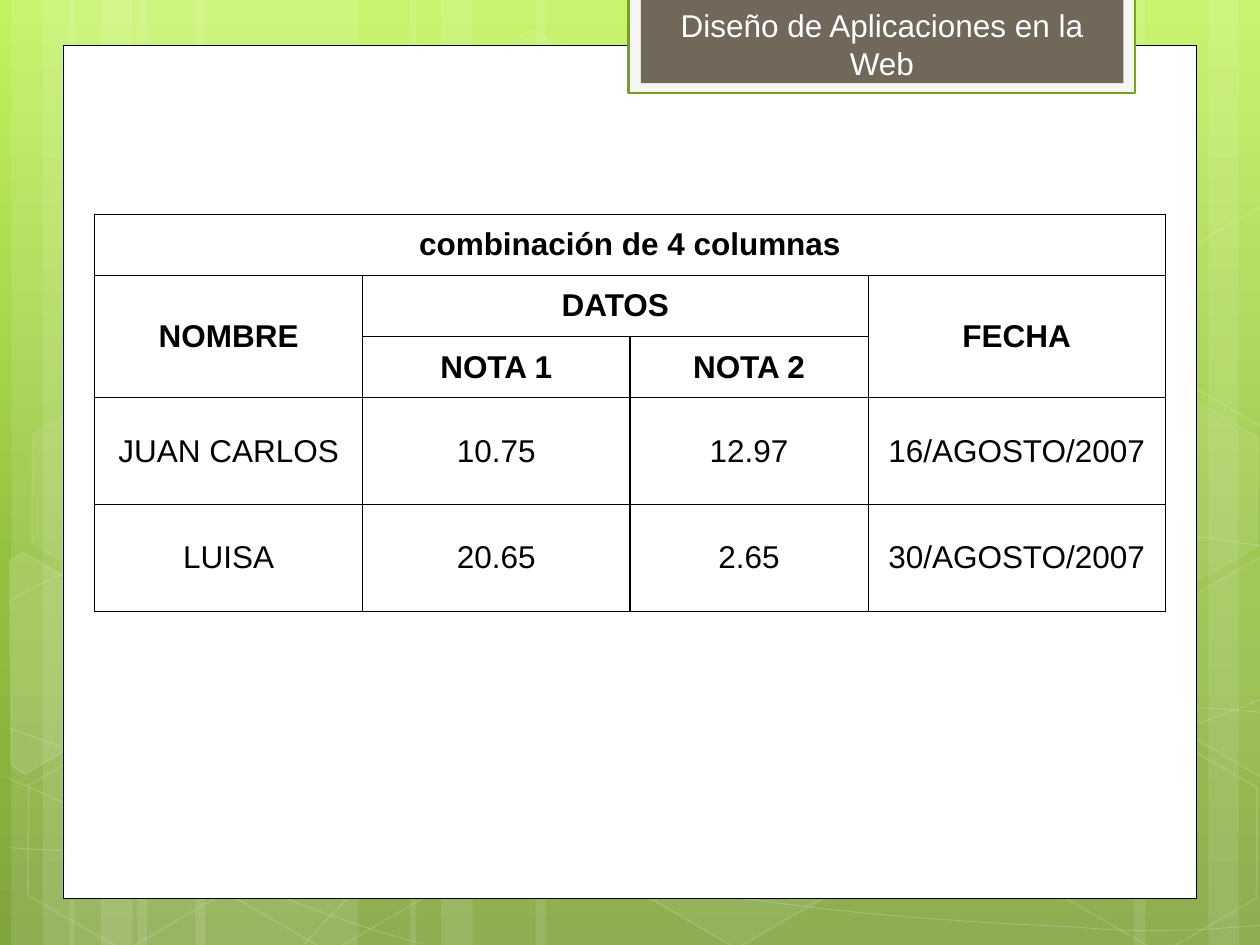
"""Build a slide with a grades table on a white panel over a green patterned background."""
from copy import deepcopy
from math import cos, radians, sin

from lxml.etree import SubElement
from pptx import Presentation
from pptx.dml.color import RGBColor
from pptx.enum.shapes import MSO_SHAPE as Shape
from pptx.enum.text import MSO_ANCHOR as Anchor, PP_ALIGN as Align
from pptx.oxml.ns import qn
from pptx.util import Cm, Pt

WHITE = RGBColor(0xFF, 0xFF, 0xFF)
BLACK = RGBColor(0, 0, 0)
LIME = RGBColor(0xC3, 0xF3, 0x5F)
GREEN = RGBColor(0x93, 0xBF, 0x3F)
OLIVE = RGBColor(0x81, 0xA5, 0x3E)
TAB_EDGE = RGBColor(0x74, 0xA5, 0x10)
TAB_RIM = RGBColor(0xF5, 0xF5, 0xF5)
TAB_BROWN = RGBColor(0x71, 0x68, 0x5A)


def paint(shape, fill=None, fill_alpha=100, line=None, width=1, line_alpha=100):
    shape.shadow.inherit = False
    shape.line.width = Pt(width)
    properties = shape._element.spPr
    outline = properties.find(qn("a:ln"))
    for part, host, color, alpha in (
        (shape.fill, properties, fill, fill_alpha),
        (shape.line.fill, outline, line, line_alpha),
    ):
        if color is None:
            part.background()
            continue
        part.solid()
        part.fore_color.rgb = color
        if alpha < 100:
            tint = host.find(qn("a:solidFill")).find(qn("a:srgbClr"))
            SubElement(tint, qn("a:alpha"), val=str(alpha * 1000))


def write(frame, text, color, bold=False):
    frame.text = text
    frame.word_wrap = True
    para = frame.paragraphs[0]
    para.alignment = Align.CENTER
    for span in para.runs:
        span.font.name = "Arial"
        span.font.size = Pt(18)
        span.font.bold = bold
        span.font.color.rgb = color


deck = Presentation()
deck.slide_width, deck.slide_height = Cm(25.4), Cm(19.05)
page = deck.slides.add_slide(deck.slide_layouts[6])
shapes = page.shapes

backdrop = page.background.fill
backdrop.gradient()
backdrop.gradient_angle = 270
stop_list = page._element.find(".//" + qn("a:gsLst"))
stop_list.append(deepcopy(stop_list[-1]))
for stop, position, color in zip(backdrop.gradient_stops, (0, 0.62, 1), (LIME, GREEN, OLIVE)):
    stop.position = position
    stop.color.rgb = color

bands = [
    (2.77, 4.45), (0.23, 1.27), (0.86, 2.11), (3.94, 4.45), (1.4, 1.27), (2.03, 2.11),
    (18.64, 4.45), (24.36, 1.27), (22.86, 2.11), (10.8, 7.84), (8.26, 1.27), (8.89, 2.11),
]
for left, width in bands:
    band = shapes.add_shape(Shape.RECTANGLE, Cm(left), 0, Cm(width), deck.slide_height)
    paint(band, WHITE, 10)

curves = [
    [(0.18, 17.09), (1.55, 17.17), (2.92, 17.25), (4.83, 17.22), (6.73, 17.2), (9.09, 17.15),
     (11.63, 16.89), (14.17, 16.64), (17.78, 16.15), (20.12, 15.67), (22.43, 15.19),
     (24.82, 14.43), (25.58, 14)],
    [(0.18, 12.12), (0.91, 11.71), (1.65, 11.33), (3.07, 10.95), (4.52, 10.57), (6.58, 10.01),
     (8.81, 9.83), (11.07, 9.65), (13.82, 9.63), (16.61, 9.83), (19.41, 10.03),
     (24.05, 10.82), (25.58, 11.02)],
    [(0.15, 15.67), (3.23, 17.07), (6.27, 18.47), (8.51, 19.02)],
    [(0.18, 14.68), (0.97, 14.96), (1.78, 15.24), (3.25, 15.65), (4.72, 16.03), (6.93, 16.66),
     (9.07, 17.09), (11.18, 17.53), (13.84, 17.98), (15.95, 18.24), (18.06, 18.52),
     (20.32, 18.62), (21.67, 18.69), (23.01, 18.8), (23.34, 18.75), (24, 18.75),
     (24.66, 18.72), (25.12, 18.67), (25.58, 18.64)],
    [(6.15, 19.02), (6.6, 18.52), (7.06, 18.01), (7.67, 17.55), (8.28, 17.07), (9.14, 16.59),
     (9.86, 16.23), (10.57, 15.88), (11, 15.72), (11.91, 15.47), (12.85, 15.21),
     (14.55, 14.86), (15.44, 14.68), (16.36, 14.5), (16.48, 14.5), (17.27, 14.45),
     (18.06, 14.38), (19.3, 14.3), (20.17, 14.27), (21.06, 14.25), (22.5, 14.27),
     (22.5, 14.27), (23.07, 14.27), (23.64, 14.27), (24.21, 14.27), (24.66, 14.3),
     (25.1, 14.33), (25.32, 14.35), (25.55, 14.38), (25.48, 14.35), (25.55, 14.38)],
]
for knots in curves:
    points = [(Cm(x), Cm(y)) for x, y in knots]
    builder = shapes.build_freeform(*points[0])
    builder.add_line_segments(points[1:], close=False)
    curve = builder.convert_to_shape()
    outline = curve._element.find(".//" + qn("a:path"))
    segments = outline.findall(qn("a:lnTo"))
    for start in range(0, len(segments), 3):
        bezier = SubElement(outline, qn("a:cubicBezTo"))
        for segment in segments[start:start + 3]:
            bezier.append(segment[0])
            outline.remove(segment)
    paint(curve, line=WHITE, width=0.5, line_alpha=20)

hexagons = [
    (8.48, 0.91, 4, 8), (12.62, 14.96, 6, 12), (0.28, 15.01, 0, 12), (0.36, 7.92, 7, 8),
    (4.42, 15.04, 0, 12), (19.13, 11.51, 10, 12), (21.18, 15.06, 0, 12), (21.18, 7.98, 7, 8),
]
for left, top, fill_alpha, line_alpha in hexagons:
    hexagon = shapes.add_shape(Shape.HEXAGON, Cm(left), Cm(top), Cm(4.45), Cm(3.86))
    hexagon.adjustments[0] = 0.285
    hexagon.adjustments[1] = 1.155
    hexagon.rotation = 30
    paint(hexagon, WHITE if fill_alpha else None, fill_alpha, WHITE, 1, line_alpha)

cut_hexagons = [
    (10, 0.91, 13.61,
     [(0.2, 11.3), (0.48, 11.13), (2.44, 12.27), (2.41, 14.48), (0.51, 15.6), (0.23, 15.42)]),
    (4, 25.02, 13.21,
     [(23.52, 12.32), (25.45, 11.2), (25.63, 11.33), (25.63, 15.57), (25.45, 15.67), (23.52, 14.55)]),
    (0, 25.02, 6.12,
     [(23.52, 5.26), (25.45, 4.14), (25.65, 4.27), (25.63, 8.51), (25.45, 8.61), (23.52, 7.49)]),
]
cosine, sine = cos(radians(30)), sin(radians(30))
for fill_alpha, middle_x, middle_y, corners in cut_hexagons:
    points = []
    for x, y in corners:
        dx, dy = x - middle_x, y - middle_y
        points.append((Cm(middle_x + dx * cosine + dy * sine), Cm(middle_y + dy * cosine - dx * sine)))
    builder = shapes.build_freeform(*points[0])
    builder.add_line_segments(points[1:], close=True)
    cut_hexagon = builder.convert_to_shape()
    cut_hexagon.rotation = 30
    paint(cut_hexagon, WHITE if fill_alpha else None, fill_alpha, WHITE, 1, 12)

panels = [
    (1.27, 0.91, 22.86, 17.2, WHITE, BLACK, 0.5),
    (12.67, -0.05, 10.22, 1.93, TAB_RIM, TAB_EDGE, 1.25),
    (12.92, -0.05, 9.73, 1.73, TAB_BROWN, None, 0),
]
for left, top, width, height, fill, line, line_width in panels:
    panel = shapes.add_shape(Shape.RECTANGLE, Cm(left), Cm(top), Cm(width), Cm(height))
    paint(panel, fill, line=line, width=line_width)

heading = shapes.add_textbox(Cm(13.12), 0, Cm(9.32), Cm(1.8))
write(heading.text_frame, "Diseño de Aplicaciones en la Web", WHITE)

rows = [
    ["combinación de 4 columnas", "", "", ""],
    ["NOMBRE", "DATOS", "", "FECHA"],
    ["", "NOTA 1", "NOTA 2", ""],
    ["JUAN CARLOS", "10.75", "12.97", "16/AGOSTO/2007"],
    ["LUISA", "20.65", "2.65", "30/AGOSTO/2007"],
]
widths = [5.4, 5.39, 4.8, 5.99]
heights = [1.23, 1.23, 1.24, 2.15, 2.15]
grades = shapes.add_table(5, 4, Cm(1.91), Cm(4.32), Cm(sum(widths)), Cm(sum(heights))).table
grades.first_row = grades.horz_banding = False
for column, width in zip(grades.columns, widths):
    column.width = Cm(width)
for row, height in zip(grades.rows, heights):
    row.height = Cm(height)
for r, texts in enumerate(rows):
    for c, text in enumerate(texts):
        cell = grades.cell(r, c)
        write(cell.text_frame, text, BLACK, bold=r < 3)
        cell.vertical_anchor = Anchor.MIDDLE
        properties = cell._tc.get_or_add_tcPr()
        for side in ("lnL", "lnR", "lnT", "lnB"):
            border = SubElement(properties, qn("a:" + side), w=str(Pt(0.75)))
            SubElement(SubElement(border, qn("a:solidFill")), qn("a:srgbClr"), val=str(BLACK))
        cell.fill.background()
for top, left, bottom, right in ((0, 0, 0, 3), (1, 0, 2, 0), (1, 1, 1, 2), (1, 3, 2, 3)):
    grades.cell(top, left).merge(grades.cell(bottom, right))

deck.save("out.pptx")
